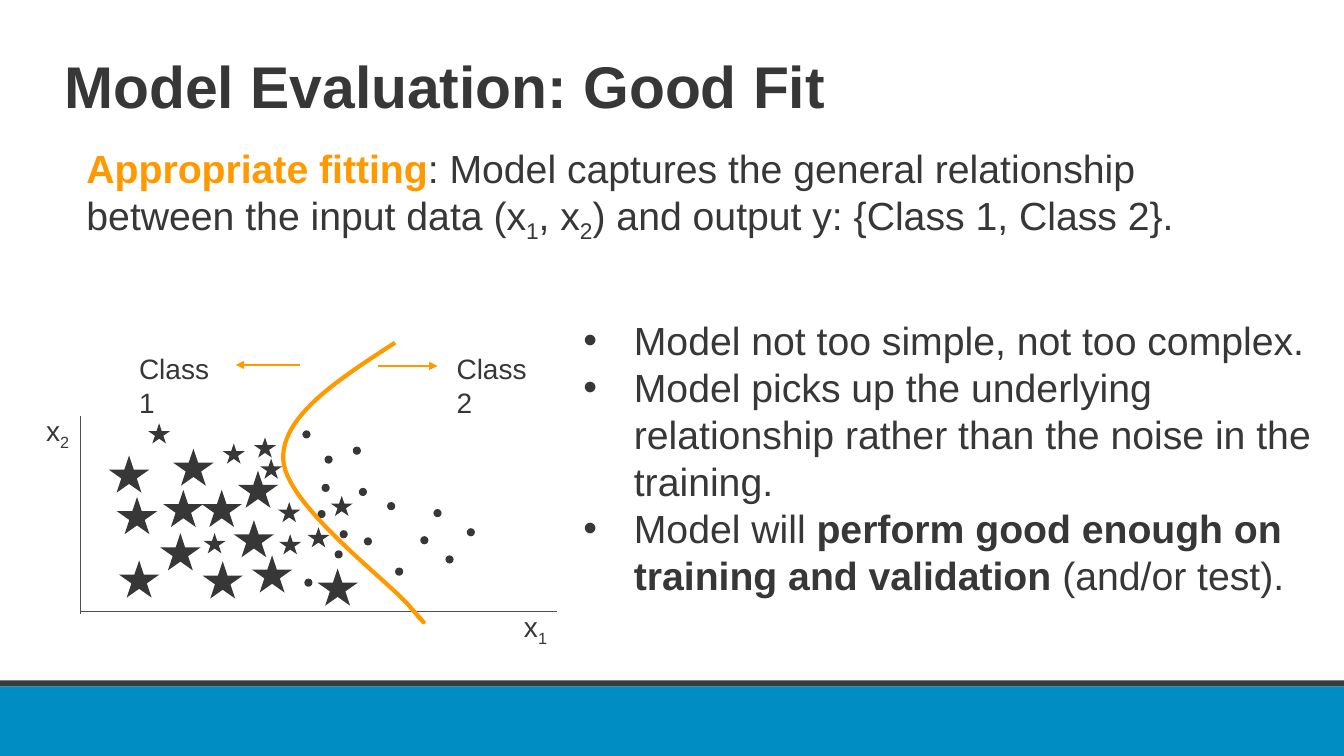
from lxml.etree import SubElement
from pptx import Presentation
from pptx.dml.color import RGBColor
from pptx.enum.shapes import MSO_CONNECTOR, MSO_SHAPE
from pptx.enum.text import MSO_ANCHOR, MSO_AUTO_SIZE, PP_ALIGN
from pptx.oxml.ns import qn
from pptx.util import Pt

INK, ORANGE, AXIS, BLUE, CHARCOAL = "373737", "FF9900", "51504F", "008DC4", "383D3B"

TITLE = [[("Model Evaluation: Good Fit", "bold")]]
DEFINITION = [[
    ("Appropriate fitting", "bold accent"),
    (": Model captures the general relationship between the input data (x", ""),
    ("1", "sub"), (", x", ""), ("2", "sub"),
    (") and output y: {Class 1, Class 2}.", ""),
]]
TRAITS = [
    [("Model not too simple, not too complex.", "")],
    [("Model picks up the underlying relationship rather than the noise in the training.", "")],
    [("Model will ", ""), ("perform good enough on training and validation ", "bold"),
     ("(and/or test).", "")],
]
LABELS = [
    ([[("Class 2", "")]], (319, 247.7, 78.5, 31.7)),
    ([[("Class 1", "")]], (92.2, 247.7, 80.6, 31.7)),
    ([[("x", ""), ("1", "sub")]], (367.2, 432, 34.6, 31.7)),
    ([[("x", ""), ("2", "sub")]], (25.9, 291.6, 38.9, 31.7)),
]
BARS = [((-1.4, 490.3, 963.4, 49.7), BLUE), ((-0.7, 486, 961.9, 4.3), CHARCOAL)]

LARGE_STARS = [
    (77.8, 325.4), (83.5, 355), (114.5, 380.9), (85, 400.3), (116.6, 349.9), (144.7, 401),
    (180, 396.7), (123.8, 320.4), (144, 349.9), (167, 371.5), (169.9, 336.2), (226.8, 406.1),
]
SMALL_STARS = [
    (181.4, 312.5), (198.7, 358.6), (219.6, 376.6), (185.8, 327.6), (145.4, 380.9),
    (105.8, 302.4), (199.4, 381.6), (159.1, 316.8), (236.2, 354.2),
]
DOTS = [
    (276.5, 358.6), (226.8, 364.3), (229.7, 345.6), (242.6, 378.7), (217.4, 413.3),
    (216, 307.4), (252, 319), (309.6, 363.6), (300.2, 383), (282.2, 405.4), (259.9, 383.8),
    (239, 393.1), (256.3, 348.5), (318.2, 396.7), (231.8, 325.4), (333.4, 377.3),
]
MARKERS = [
    (MSO_SHAPE.STAR_5_POINT, (28.8, 26.6), LARGE_STARS),
    (MSO_SHAPE.STAR_5_POINT, (15.8, 14.4), SMALL_STARS),
    (MSO_SHAPE.FLOWCHART_CONNECTOR, (5.8, 5.8), DOTS),
]
AXES = [(57.6, 438.5, 57.6, 297.4), (57.6, 437, 398.2, 437)]
ARROWS = [(270, 261.4, 312.5, 261.4), (214.6, 260.6, 168.5, 260.6)]
BOUNDARY = [
    (282.2, 244.8), (241.2, 271.4), (200.9, 297.4), (202.3, 328.3), (203.8, 360),
    (275, 413.3), (291.6, 432), (307.4, 450), (303.1, 445), (298.1, 439.9),
]
CURVE_STEPS = 24

prs = Presentation()
prs.slide_width, prs.slide_height = Pt(960), Pt(540)
slide = prs.slides.add_slide(prs.slide_layouts[5])


def color(hex_code):
    return RGBColor.from_string(hex_code)


def write(paragraphs, box, size, holder=None, spacing=None, bullets=False, grow=False):
    holder = holder or slide.shapes.add_textbox(0, 0, 0, 0)
    holder.left, holder.top, holder.width, holder.height = map(Pt, box)
    frame = holder.text_frame
    frame.word_wrap = True
    frame.vertical_anchor = MSO_ANCHOR.TOP
    frame.auto_size = MSO_AUTO_SIZE.SHAPE_TO_FIT_TEXT if grow else MSO_AUTO_SIZE.NONE
    for index, runs in enumerate(paragraphs):
        paragraph = frame.add_paragraph() if index else frame.paragraphs[0]
        paragraph.alignment = PP_ALIGN.LEFT
        if spacing:
            paragraph.line_spacing = spacing
        if bullets:
            properties = paragraph._p.get_or_add_pPr()
            properties.set("marL", str(Pt(36)))
            properties.set("indent", str(-Pt(36)))
            SubElement(properties, qn("a:buFont"), typeface="Arial")
            SubElement(properties, qn("a:buChar"), char="•")
        for words, style in runs:
            run = paragraph.add_run()
            run.text = words
            run.font.name, run.font.size = "Arial", Pt(size)
            run.font.bold = "bold" in style
            run.font.color.rgb = color(ORANGE if "accent" in style else INK)
            if "sub" in style:
                run._r.get_or_add_rPr().set("baseline", "-25000")


def draw(preset, box, fill):
    shape = slide.shapes.add_shape(preset, *map(Pt, box))
    shape.shadow.inherit = False
    shape.fill.solid()
    shape.fill.fore_color.rgb = color(fill)
    shape.line.fill.background()


def connect(ends, stroke, width, arrow=False):
    line = slide.shapes.add_connector(MSO_CONNECTOR.STRAIGHT, *map(Pt, ends))
    line.line.color.rgb = color(stroke)
    line.line.width = Pt(width)
    if arrow:
        SubElement(line.line._get_or_add_ln(), qn("a:tailEnd"), type="triangle")
    SubElement(line._element.spPr, qn("a:effectLst"))


def bezier(a, b, c, d, t):
    u = 1 - t
    return tuple(
        Pt(u**3 * p + 3 * u * u * t * q + 3 * u * t * t * r + t**3 * s)
        for p, q, r, s in zip(a, b, c, d)
    )


def draw_boundary():
    points = [
        bezier(*BOUNDARY[start:start + 4], step / CURVE_STEPS)
        for start in range(0, len(BOUNDARY) - 1, 3)
        for step in range(1, CURVE_STEPS + 1)
    ]
    builder = slide.shapes.build_freeform(*map(Pt, BOUNDARY[0]))
    builder.add_line_segments(points, close=False)
    curve = builder.convert_to_shape()
    curve.shadow.inherit = False
    curve.fill.background()
    curve.line.color.rgb = color(ORANGE)
    curve.line.width = Pt(3)


for box, fill in BARS:
    draw(MSO_SHAPE.RECTANGLE, box, fill)
write(TITLE, (38.9, 37.4, 828, 78.5), 42, holder=slide.shapes.title, spacing=0.9)
write(DEFINITION, (54.7, 103, 856.8, 362.2), 28, spacing=0.9)
write(TRAITS, (409.7, 222.5, 539.3, 211), 28, bullets=True, grow=True)
for preset, size, corners in MARKERS:
    for corner in corners:
        draw(preset, corner + size, INK)
for ends in AXES:
    connect(ends, AXIS, 0.5)
draw_boundary()
for ends in ARROWS:
    connect(ends, ORANGE, 1, arrow=True)
for words, box in LABELS:
    write(words, box, 20, grow=True)

prs.save("out.pptx")
